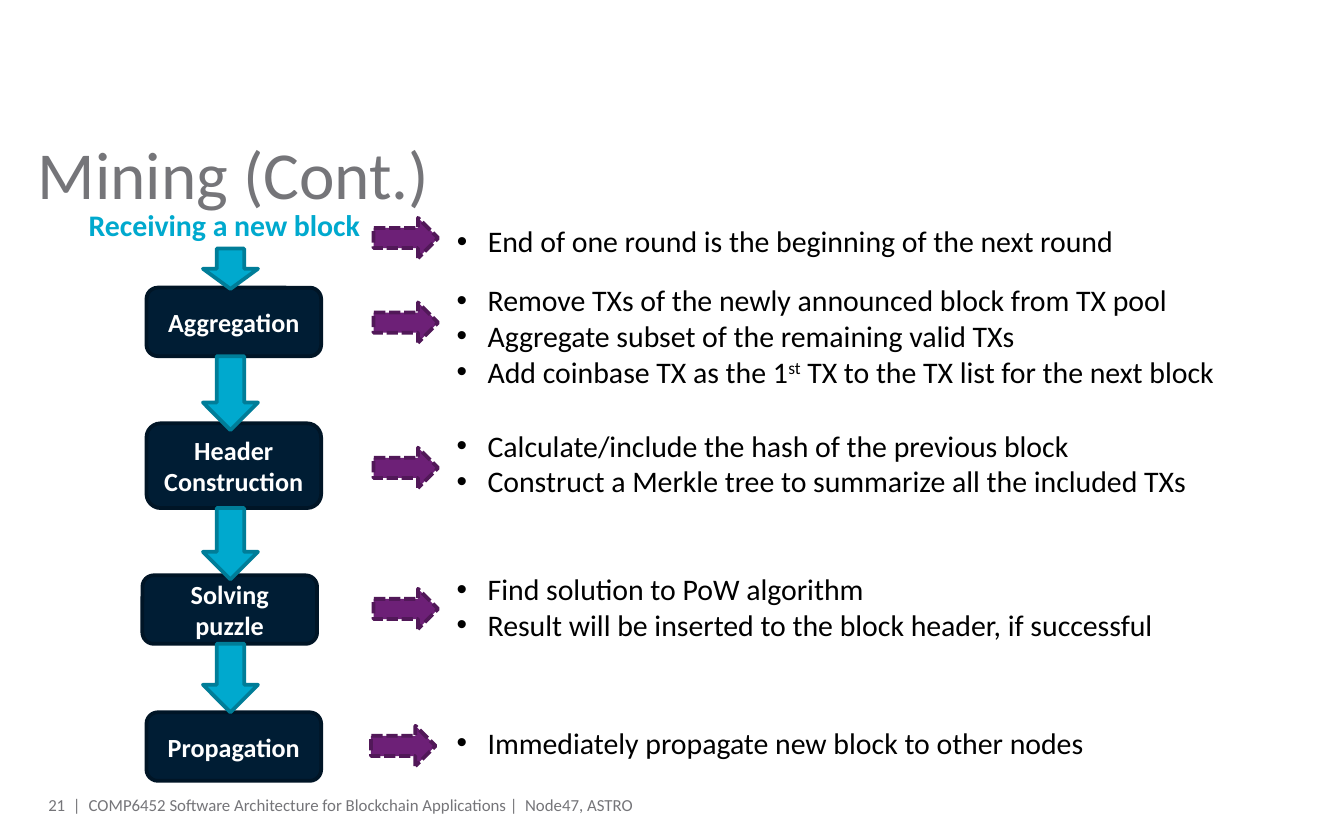
"""Build the slide that walks through the stages of mining a block."""
from dataclasses import dataclass
from typing import Optional

from lxml import etree
from pptx import Presentation
from pptx.dml.color import RGBColor
from pptx.enum.dml import MSO_LINE
from pptx.enum.shapes import MSO_SHAPE
from pptx.enum.text import MSO_ANCHOR, MSO_AUTO_SIZE, PP_ALIGN
from pptx.oxml.ns import qn
from pptx.shapes.autoshape import Shape
from pptx.slide import Slide
from pptx.text.text import TextFrame, _Paragraph
from pptx.util import Pt

DOWN_ARROW = MSO_SHAPE.DOWN_ARROW
ROUNDED = MSO_SHAPE.ROUNDED_RECTANGLE
SHORT_DASH = MSO_LINE.SQUARE_DOT
TOP, MIDDLE = MSO_ANCHOR.TOP, MSO_ANCHOR.MIDDLE
LEFT, CENTER, RIGHT = PP_ALIGN.LEFT, PP_ALIGN.CENTER, PP_ALIGN.RIGHT
NO_AUTOFIT = MSO_AUTO_SIZE.NONE


@dataclass(frozen=True)
class Paint:
    fill: str
    line: str


@dataclass(frozen=True)
class Theme:
    font: str = "Calibri"
    grey: str = "757579"
    black: str = "000000"
    white: str = "FFFFFF"
    accent: str = "00A9CE"
    stage: Paint = Paint("001D34", "001526")
    flow: Paint = Paint("00A9CE", "007D98")
    pointer: Paint = Paint("6D2077", "511858")
    title_size: float = 36
    list_size: float = 16
    stage_size: float = 14
    footer_size: float = 9
    outline: float = 2


@dataclass(frozen=True)
class Box:
    left: float
    top: float
    width: float
    height: float


@dataclass(frozen=True)
class Style:
    size: float
    color: str
    bold: bool = False
    align: PP_ALIGN = LEFT


@dataclass(frozen=True)
class Stage:
    name: str
    box: Box


@dataclass(frozen=True)
class Notes:
    """A bullet list and its pointer; ^ sets off a superscript."""
    top: float
    width: float
    pointer_left: float
    pointer_top: float
    lines: tuple[str, ...]


THEME = Theme()
LIST_LEFT = 237.6
LINE_HEIGHT = 19.5
LIST_MARGINS = 7.2
BULLET_INDENT = 16.56

STAGES = (
    Stage("Aggregation", Box(78.5, 154.1, 93.6, 36.7)),
    Stage("Header Construction", Box(78.5, 226.8, 93.6, 45.4)),
    Stage("Solving puzzle", Box(76.3, 308.2, 93.6, 36.7)),
    Stage("Propagation", Box(78.5, 381.6, 93.6, 36.7)),
)
FLOW_SPANS = ((133.2, 21.6), (190.8, 39.6), (272.2, 38.2), (344.9, 36.7))
NOTES = (
    Notes(115.9, 440.6, 206.6, 110.2,
          ("End of one round is the beginning of the next round",)),
    Notes(147.6, 462.2, 206.6, 155.5,
          ("Remove TXs of the newly announced block from TX pool",
           "Aggregate subset of the remaining valid TXs",
           "Add coinbase TX as the 1^st^ TX to the TX list for the next block")),
    Notes(225.4, 448.6, 206.6, 233.3,
          ("Calculate/include the hash of the previous block",
           "Construct a Merkle tree to summarize all the included TXs")),
    Notes(302.4, 418.3, 206.6, 308.9,
          ("Find solution to PoW algorithm",
           "Result will be inserted to the block header, if successful")),
    Notes(384.5, 418.3, 205.2, 382.3,
          ("Immediately propagate new block to other nodes",)),
)


def place(shape: Shape, box: Box) -> None:
    shape.left, shape.top = Pt(box.left), Pt(box.top)
    shape.width, shape.height = Pt(box.width), Pt(box.height)


def prepare(frame: TextFrame, anchor: MSO_ANCHOR, inset: Optional[float] = None) -> None:
    frame.word_wrap = True
    frame.auto_size = NO_AUTOFIT
    frame.vertical_anchor = anchor
    if inset is not None:
        frame.margin_left = frame.margin_right = Pt(inset)
        frame.margin_top = frame.margin_bottom = Pt(inset)


def write(paragraph: _Paragraph, text: str, style: Style) -> None:
    paragraph.alignment = style.align
    paragraph.space_before = Pt(0)
    for position, part in enumerate(text.split("^")):
        run = paragraph.add_run()
        run.text = part
        font = run.font
        font.name, font.size, font.bold = THEME.font, Pt(style.size), style.bold
        font.color.rgb = RGBColor.from_string(style.color)
        if position % 2:
            run._r.get_or_add_rPr().set("baseline", "30000")


def add_bullet(paragraph: _Paragraph) -> None:
    properties = paragraph._p.get_or_add_pPr()
    properties.set("marL", str(Pt(BULLET_INDENT)))
    properties.set("indent", str(-Pt(BULLET_INDENT)))
    etree.SubElement(properties, qn("a:buFont")).set("typeface", "Arial")
    etree.SubElement(properties, qn("a:buChar")).set("char", "•")


def add_label(slide: Slide, box: Box, text: str, style: Style,
              anchor: MSO_ANCHOR = TOP, inset: Optional[float] = None) -> None:
    label = slide.shapes.add_textbox(*map(Pt, (box.left, box.top, box.width, box.height)))
    prepare(label.text_frame, anchor, inset)
    write(label.text_frame.paragraphs[0], text, style)


def add_painted(slide: Slide, preset: MSO_SHAPE, box: Box, paint: Paint) -> Shape:
    shape = slide.shapes.add_shape(
        preset, *map(Pt, (box.left, box.top, box.width, box.height)))
    shape.shadow.inherit = False
    shape.fill.solid()
    shape.fill.fore_color.rgb = RGBColor.from_string(paint.fill)
    shape.line.color.rgb = RGBColor.from_string(paint.line)
    shape.line.width = Pt(THEME.outline)
    return shape


def add_stage(slide: Slide, stage: Stage) -> None:
    shape = add_painted(slide, ROUNDED, stage.box, THEME.stage)
    prepare(shape.text_frame, MIDDLE)
    write(shape.text_frame.paragraphs[0], stage.name,
          Style(THEME.stage_size, THEME.white, True, CENTER))


def add_notes(slide: Slide, notes: Notes, holder: Shape) -> None:
    height = LIST_MARGINS + LINE_HEIGHT * len(notes.lines)
    place(holder, Box(LIST_LEFT, notes.top, notes.width, height))
    frame = holder.text_frame
    prepare(frame, TOP)
    for position, line in enumerate(notes.lines):
        paragraph = frame.add_paragraph() if position else frame.paragraphs[0]
        add_bullet(paragraph)
        write(paragraph, line, Style(THEME.list_size, THEME.black))
    pointer = add_painted(slide, DOWN_ARROW, Box(
        notes.pointer_left, notes.pointer_top, 21.6, 34.6), THEME.pointer)
    pointer.rotation = 270
    pointer.line.dash_style = SHORT_DASH


def main() -> None:
    deck = Presentation()
    deck.slide_width, deck.slide_height = Pt(720), Pt(450)
    slide = deck.slides.add_slide(deck.slide_layouts[1])
    title, body = slide.shapes.title, slide.placeholders[1]
    place(title, Box(20.2, 70.6, 680.4, 56.2))
    prepare(title.text_frame, TOP, 0)
    write(title.text_frame.paragraphs[0], "Mining (Cont.)",
          Style(THEME.title_size, THEME.grey))

    for stage in STAGES:
        add_stage(slide, stage)
    for top, height in FLOW_SPANS:
        add_painted(slide, DOWN_ARROW, Box(108.7, top, 29.5, height), THEME.flow)
    add_label(slide, Box(36.7, 107.3, 167, 26.6), "Receiving a new block",
              Style(THEME.list_size, THEME.accent, True, CENTER))
    for position, notes in enumerate(NOTES):
        holder = slide.shapes.add_textbox(0, 0, 0, 0) if position else body
        add_notes(slide, notes, holder)

    add_label(slide, Box(47.5, 427, 478.8, 8),
              "COMP6452 Software Architecture for Blockchain Applications |  Node47, ASTRO",
              Style(THEME.footer_size, THEME.grey), MIDDLE, 0)
    add_label(slide, Box(20.2, 427, 23, 8.6), "21  |",
              Style(THEME.footer_size, THEME.grey, align=RIGHT), MIDDLE, 0)
    deck.save("out.pptx")


if __name__ == "__main__":
    main()
